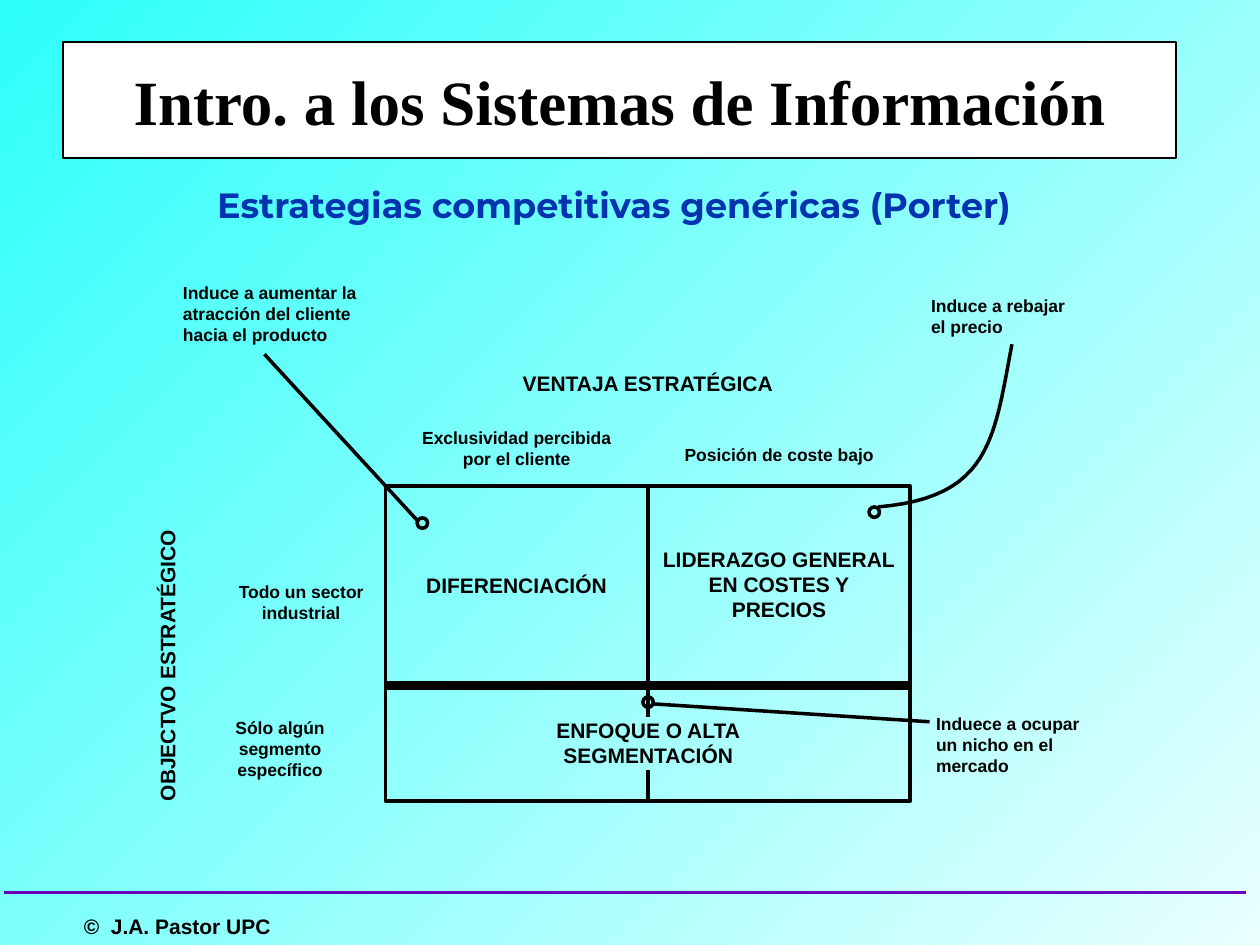
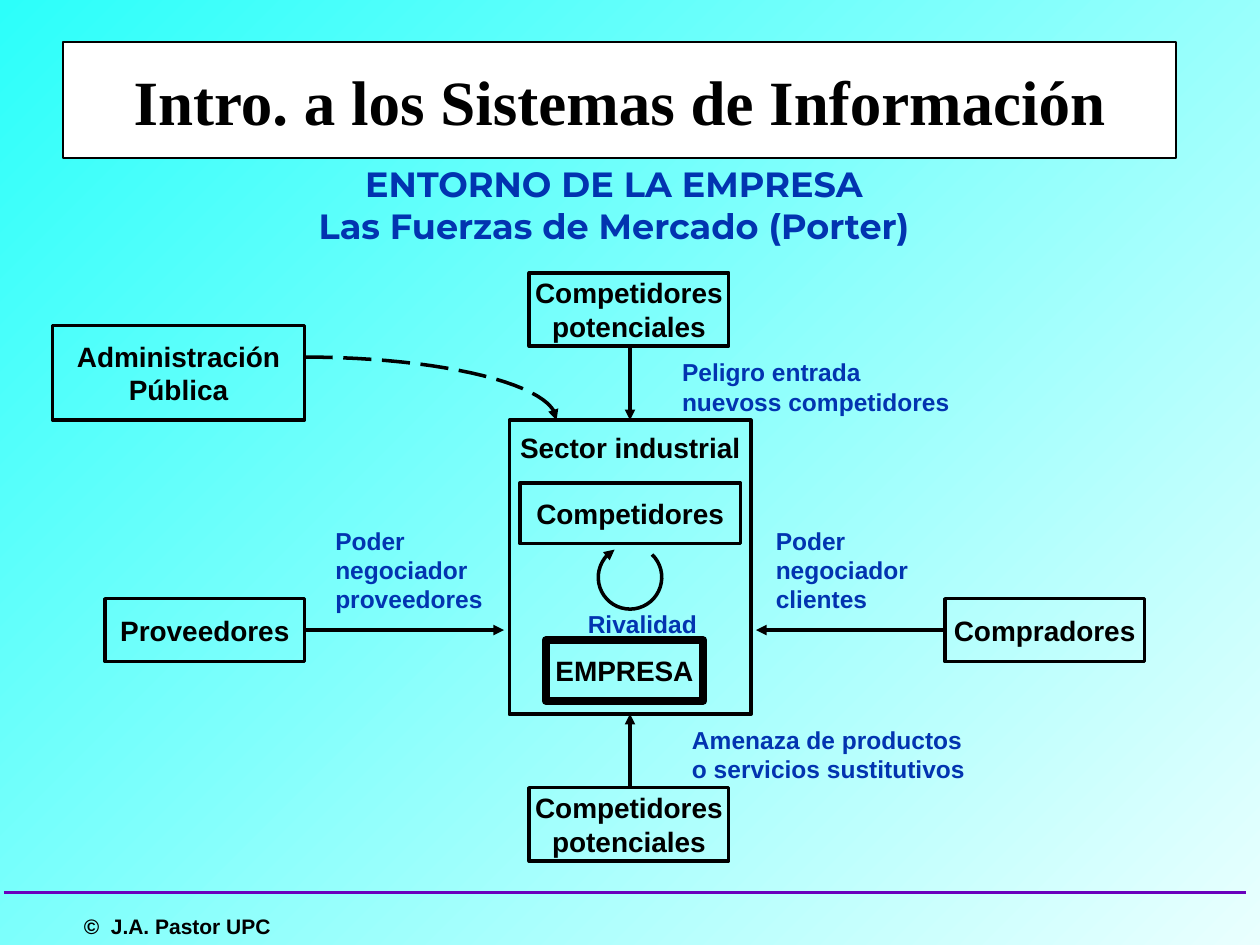
from math import cos, radians, sin

from lxml.etree import SubElement
from pptx import Presentation
from pptx.dml.color import RGBColor
from pptx.enum.dml import MSO_LINE
from pptx.enum.shapes import MSO_CONNECTOR, MSO_SHAPE
from pptx.enum.text import MSO_ANCHOR, MSO_AUTO_SIZE, PP_ALIGN
from pptx.oxml.ns import qn
from pptx.util import Cm, Pt

COLOURS = {
    "ink": "000000",
    "paper": "FFFFFF",
    "blue": "0234B0",
    "rule": "6900BC",
    "pale": "E9FFFE",
    "aqua": "2CFFFA",
}


def rgb(name):
    return RGBColor.from_string(COLOURS[name])


def bezier(start, pull_a, pull_b, end, steps=24):
    points = []
    for step in range(steps + 1):
        t = step / steps
        weights = ((1 - t) ** 3, 3 * t * (1 - t) ** 2, 3 * t * t * (1 - t), t ** 3)
        corners = (start, pull_a, pull_b, end)
        points.append(tuple(sum(w * c[axis] for w, c in zip(weights, corners))
                            for axis in (0, 1)))
    return points


def arc(centre_x, centre_y, radius, first, last, steps=36):
    angles = [radians(first + (last - first) * step / steps) for step in range(steps + 1)]
    return [(centre_x + radius * cos(a), centre_y + radius * sin(a)) for a in angles]


class Deck:
    def __init__(self):
        self.prs = Presentation()
        self.prs.slide_width, self.prs.slide_height = Cm(25.4), Cm(19.05)
        self.slide = None

    def new_slide(self, heading):
        self.slide = self.prs.slides.add_slide(self.prs.slide_layouts[5])
        backdrop = self.slide.background.fill
        backdrop.gradient()
        backdrop.gradient_angle = 135
        for stop, name in zip(backdrop.gradient_stops, ("pale", "aqua")):
            stop.color.rgb = rgb(name)
        self.line((0.08, 17.99), (25.11, 17.99), colour="rule")
        self.text("©  J.A. Pastor UPC", 1.44, 18.28, 4.37, 0.77, 12,
                  align=PP_ALIGN.LEFT, wrap=False, inset=(0.25, 0.13))
        self.box("Intro. a los Sistemas de Información", 1.27, 0.85, 22.44, 2.33,
                 size=36, font="Times New Roman", weight=1, fill="paper")
        title = self.slide.shapes.title
        title.left, title.top, title.width, title.height = Cm(1.48), Cm(3.6), Cm(21.8), Cm(1.06)
        self.set_text(title.text_frame, heading, 20, "Montserrat", "blue", inset=(0.25, 0.13))

    def set_text(self, frame, content, size, font="Arial", colour="ink",
                 align=PP_ALIGN.CENTER, wrap=True, inset=(0, 0)):
        frame.text = content
        frame.auto_size = MSO_AUTO_SIZE.NONE
        frame.word_wrap = wrap
        frame.vertical_anchor = MSO_ANCHOR.MIDDLE
        frame.margin_left = frame.margin_right = Cm(inset[0])
        frame.margin_top = frame.margin_bottom = Cm(inset[1])
        for paragraph in frame.paragraphs:
            paragraph.alignment = align
            for run in paragraph.runs:
                run.font.size, run.font.name, run.font.bold = Pt(size), font, True
                run.font.color.rgb = rgb(colour)

    def text(self, content, x, y, w, h, size, **style):
        label = self.slide.shapes.add_textbox(Cm(x), Cm(y), Cm(w), Cm(h))
        self.set_text(label.text_frame, content, size, **style)
        return label

    def vertical_text(self, content, x, y, w, h, size):
        label = self.text(content, x, y, w, h, size)
        label.rotation = 180
        label.text_frame._txBody.bodyPr.set("vert", "eaVert")

    def outline(self, shape, weight, colour="ink"):
        shape.line.color.rgb = rgb(colour)
        shape.line.width = Pt(weight)

    def arrowhead(self, shape):
        SubElement(shape.line._get_or_add_ln(), qn("a:tailEnd"), type="triangle")

    def box(self, content, x, y, w, h, size=16, font="Arial", weight=2, fill=None,
            kind=MSO_SHAPE.RECTANGLE):
        shape = self.slide.shapes.add_shape(kind, Cm(x), Cm(y), Cm(w), Cm(h))
        shape.shadow.inherit = False
        if fill:
            shape.fill.solid()
            shape.fill.fore_color.rgb = rgb(fill)
        else:
            shape.fill.background()
        self.outline(shape, weight)
        if content:
            self.set_text(shape.text_frame, content, size, font, wrap=False)

    def ring(self, x, y):
        self.box("", x, y, 0.21, 0.21, kind=MSO_SHAPE.OVAL)

    def line(self, start, end, weight=2, colour="ink", arrow=False):
        connector = self.slide.shapes.add_connector(
            MSO_CONNECTOR.STRAIGHT, *(Cm(value) for value in start + end))
        self.outline(connector, weight, colour)
        if arrow:
            self.arrowhead(connector)
        SubElement(connector._element.spPr, qn("a:effectLst"))

    def curve(self, points, arrow=False, dashed=False):
        points = [(Cm(x), Cm(y)) for x, y in points]
        builder = self.slide.shapes.build_freeform(*points[0], scale=1.0)
        builder.add_line_segments(points[1:], close=False)
        shape = builder.convert_to_shape()
        shape.shadow.inherit = False
        shape.fill.background()
        self.outline(shape, 2)
        if dashed:
            shape.line.dash_style = MSO_LINE.LONG_DASH
        if arrow:
            self.arrowhead(shape)


def generic_strategies(deck):
    deck.new_slide("Estrategias competitivas genéricas (Porter)")
    left, top, column, height = 7.77, 9.8, 5.29, 6.35
    middle, right, bottom = left + column, left + 2 * column, top + height
    deck.line((left, 13.82), (right, 13.82), weight=5)
    deck.text("ENFOQUE O ALTA\nSEGMENTACIÓN", 11.18, 14.46, 3.78, 1.02, 12, wrap=False)
    deck.box("", left, top, 2 * column, height)
    deck.line((middle, top), (middle, 14.46))
    deck.line((middle, 15.52), (middle, bottom))

    for content, x, y, w, h in (
        ("DIFERENCIACIÓN", left, 11.54, column, 0.51),
        ("LIDERAZGO GENERAL\nEN COSTES Y\nPRECIOS", middle, 11.01, column, 1.52),
        ("VENTAJA ESTRATÉGICA", left, 7.47, 2 * column, 0.51),
    ):
        deck.text(content, x, y, w, h, 12)
    for content, x, y, w, h in (
        ("Exclusividad percibida\npor el cliente", left, 8.6, column, 0.85),
        ("Posición de coste bajo", middle, 8.95, column, 0.42),
        ("Todo un sector industrial", 4.8, 11.71, 2.54, 0.85),
        ("Sólo algún segmento específico", 3.95, 14.46, 3.39, 1.27),
    ):
        deck.text(content, x, y, w, h, 10)
    deck.vertical_text("OBJECTVO ESTRATÉGICO", 3.11, top, 0.51, height, 12)

    for x, y in ((17.52, 10.22), (8.41, 10.44), (12.96, 14.05)):
        deck.ring(x, y)
    deck.curve(bezier((17.7, 10.22), (19.96, 10.03), (20.04, 8.86), (20.4, 6.94)))
    deck.line((8.42, 10.5), (5.33, 7.14))
    deck.line((13.18, 14.19), (18.74, 14.55))
    for content, x, y, w, h in (
        ("Induece a ocupar\nun nicho en el\nmercado", 18.87, 14.38, 3.39, 1.27),
        ("Induce a rebajar\nel precio", 18.77, 5.94, 3.39, 0.85),
        ("Induce a aumentar la atracción del cliente hacia el producto",
         3.69, 5.68, 3.86, 1.27),
    ):
        deck.text(content, x, y, w, h, 10, align=PP_ALIGN.LEFT)


def market_forces(deck):
    deck.new_slide("ENTORNO DE LA EMPRESA\vLas Fuerzas de Mercado (Porter)")
    centre, axis = 12.7, 12.7
    deck.box("", 10.27, 8.47, 4.87, 5.93)
    deck.text("Sector industrial", 10.48, 8.68, 4.45, 0.69, 16, wrap=False)
    deck.box("Competidores", 10.48, 9.74, 4.45, 1.22)
    deck.box("EMPRESA", 11.0, 12.91, 3.18, 1.22, weight=4.5)
    deck.curve(arc(centre, 11.64, 0.64, -46, 241), arrow=True)

    for y in (5.5, 15.88):
        deck.box("Competidores\npotenciales", 10.67, y, 4.02, 1.48)
    deck.box("Administración\nPública", 1.06, 6.56, 5.08, 1.91)
    for content, x in (("Proveedores", 2.12), ("Compradores", 19.05)):
        deck.box(content, x, 12.07, 4.02, 1.27)

    deck.curve(bezier((6.14, 7.2), (8.94, 7.2), (11.22, 7.77), (11.22, 8.47)),
               arrow=True, dashed=True)
    for start, end in (
        ((centre, 15.88), (centre, 14.39)),
        ((centre, 6.98), (centre, 8.47)),
        ((6.14, axis), (10.16, axis)),
        ((19.05, axis), (15.24, axis)),
    ):
        deck.line(start, end, arrow=True)

    for content, x, y, w, h in (
        ("Peligro entrada\nnuevoss competidores", 13.75, 7.2, 5.38, 1.19),
        ("Poder\nnegociador\nproveedores", 6.76, 10.59, 2.97, 1.79),
        ("Poder\nnegociador\nclientes", 15.64, 10.59, 2.67, 1.79),
        ("Amenaza de productos\no servicios sustitutivos", 13.95, 14.61, 5.51, 1.19),
        ("Rivalidad", 11.85, 12.28, 2.2, 0.59),
    ):
        deck.text(content, x, y, w, h, 14, colour="blue", align=PP_ALIGN.LEFT, wrap=False)


def main():
    deck = Deck()
    generic_strategies(deck)
    market_forces(deck)
    deck.prs.save("out.pptx")


if __name__ == "__main__":
    main()
